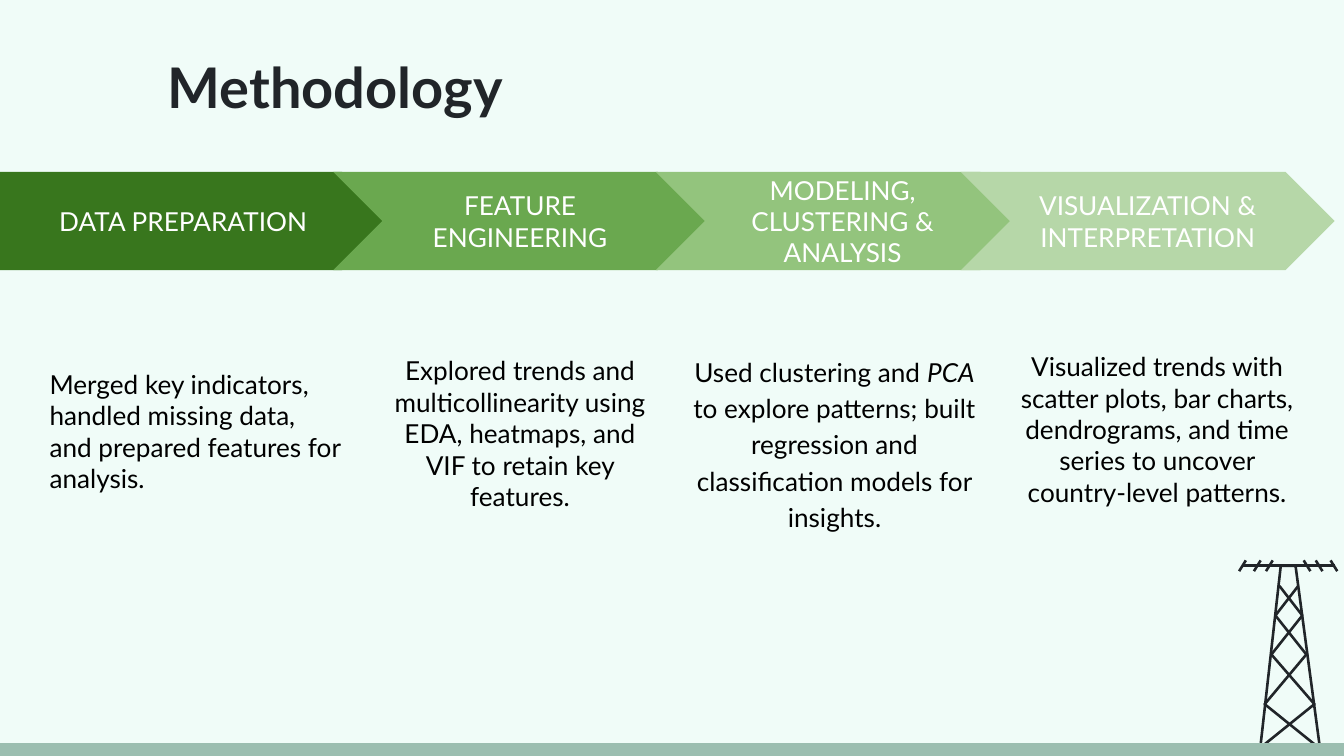
from dataclasses import dataclass

from lxml.etree import SubElement
from pptx import Presentation
from pptx.dml.color import RGBColor
from pptx.enum.shapes import MSO_CONNECTOR, MSO_SHAPE
from pptx.enum.text import MSO_ANCHOR, PP_ALIGN
from pptx.oxml.ns import qn
from pptx.util import Inches, Pt

MINT = RGBColor(0xF0, 0xFC, 0xF8)
INK = RGBColor(0x21, 0x25, 0x29)
GROUND = RGBColor(0x9B, 0xBE, 0xB0)
WHITE = RGBColor(0xFF, 0xFF, 0xFF)
BLACK = RGBColor(0x00, 0x00, 0x00)
GREENS = (
    RGBColor(0x38, 0x76, 0x1D),
    RGBColor(0x6A, 0xA8, 0x4F),
    RGBColor(0x93, 0xC4, 0x7D),
    RGBColor(0xB6, 0xD7, 0xA8),
)

FONT = "Lato"
STROKE = Pt(1.4)
ARROW_TOP, ARROW_HEIGHT = 1.28, 0.73

Box = tuple[float, float, float, float]
Point = tuple[float, float]


@dataclass(frozen=True)
class Step:
    heading: str
    color: RGBColor
    left: float
    body: tuple[str, ...]
    body_box: Box
    width: float = 2.78
    shape: MSO_SHAPE = MSO_SHAPE.CHEVRON
    align: PP_ALIGN = PP_ALIGN.CENTER
    spacing: float = 1.0


STEPS = (
    Step("DATA PREPARATION", GREENS[0], 0,
         ("Merged key indicators, handled missing data, and prepared features for analysis.",),
         (0.27, 2.64, 2.38, 2.31), width=2.91, shape=MSO_SHAPE.PENTAGON, align=PP_ALIGN.LEFT),
    Step("FEATURE ENGINEERING", GREENS[1], 2.48,
         ("Explored trends and multicollinearity using EDA, heatmaps, and VIF to retain key features.",),
         (2.75, 2.54, 2.24, 2.88)),
    Step("MODELING, CLUSTERING & ANALYSIS", GREENS[2], 4.88,
         ("Used clustering and ", "PCA",
          " to explore patterns; built regression and classification models for insights."),
         (5.01, 2.52, 2.4, 2.81), spacing=1.15),
    Step("VISUALIZATION & INTERPRETATION", GREENS[3], 7.15,
         ("Visualized trends with scatter plots, bar charts, dendrograms, "
          "and time series to uncover country-level patterns.",),
         (7.4, 2.51, 2.42, 2.5)),
)

TOWER_LEGS = ((9.37, 5.63), (9.53, 4.21), (9.64, 4.21), (9.83, 5.63))
BRACE_RIGHT = ((9.82, 5.57), (9.41, 5.24), (9.72, 4.87), (9.49, 4.58), (9.66, 4.36))
BRACE_LEFT = ((9.37, 5.57), (9.78, 5.24), (9.46, 4.87), (9.69, 4.58), (9.52, 4.36))
LEFT_INSULATORS = (9.22, 9.33, 9.42)
RIGHT_INSULATORS = (9.7, 9.79, 9.9)


def write(tf, texts: tuple[str, ...], size: float, color: RGBColor,
          align: PP_ALIGN, spacing: float = 1.0, bold: bool = False) -> None:
    tf.word_wrap = True
    tf.margin_left = tf.margin_right = tf.margin_top = tf.margin_bottom = Inches(0.1)
    p = tf.paragraphs[0]
    p.alignment = align
    p.line_spacing = spacing
    for text in texts:
        r = p.add_run()
        r.text = text
        r.font.name = FONT
        r.font.size = Pt(size)
        r.font.color.rgb = color
        r.font.bold = bold
        r.font.italic = text == "PCA"


def add_block(s, shape: MSO_SHAPE, box: Box, color: RGBColor):
    sp = s.shapes.add_shape(shape, *map(Inches, box))
    sp.shadow.inherit = False
    sp.fill.solid()
    sp.fill.fore_color.rgb = color
    sp.line.fill.background()
    return sp


def add_text(s, box: Box, texts: tuple[str, ...], size: float, color: RGBColor,
             align: PP_ALIGN, spacing: float = 1.0, bold: bool = False) -> None:
    sp = s.shapes.add_textbox(*map(Inches, box))
    write(sp.text_frame, texts, size, color, align, spacing, bold)


def add_polyline(s, points: tuple[Point, ...]) -> None:
    first, *rest = [(Inches(x), Inches(y)) for x, y in points]
    builder = s.shapes.build_freeform(*first)
    builder.add_line_segments(rest, close=False)
    sp = builder.convert_to_shape()
    sp.shadow.inherit = False
    sp.fill.background()
    sp.line.color.rgb = INK
    sp.line.width = STROKE


def add_line(s, start: Point, end: Point) -> None:
    line = s.shapes.add_connector(MSO_CONNECTOR.STRAIGHT, *map(Inches, start + end))
    line.line.color.rgb = INK
    line.line.width = STROKE
    SubElement(line._element.spPr, qn("a:effectLst"))


def add_tower(s) -> None:
    for points in (TOWER_LEGS, BRACE_RIGHT, BRACE_LEFT):
        add_polyline(s, points)
    add_line(s, (9.24, 4.21), (9.93, 4.21))
    for x in LEFT_INSULATORS:
        add_line(s, (x, 4.25), (x + 0.05, 4.17))
    for x in RIGHT_INSULATORS:
        add_line(s, (x, 4.17), (x + 0.05, 4.25))


def add_step(s, step: Step) -> None:
    arrow = add_block(s, step.shape, (step.left, ARROW_TOP, step.width, ARROW_HEIGHT), step.color)
    arrow.text_frame.vertical_anchor = MSO_ANCHOR.MIDDLE
    write(arrow.text_frame, (step.heading,), 14, WHITE, PP_ALIGN.CENTER)
    add_text(s, step.body_box, step.body, 14, BLACK, step.align, step.spacing)


def main() -> None:
    prs = Presentation()
    prs.slide_width = Inches(10)
    prs.slide_height = Inches(10 * 9 / 16)
    s = prs.slides.add_slide(prs.slide_layouts[6])
    s.background.fill.solid()
    s.background.fill.fore_color.rgb = MINT
    add_tower(s)
    add_block(s, MSO_SHAPE.RECTANGLE, (-0.05, 5.53, 10.05, 0.16), GROUND)
    add_text(s, (1.15, 0.29, 8.43, 0.69), ("Methodology",), 30, INK, PP_ALIGN.LEFT, bold=True)
    for step in STEPS:
        add_step(s, step)
    prs.save("out.pptx")


if __name__ == "__main__":
    main()
